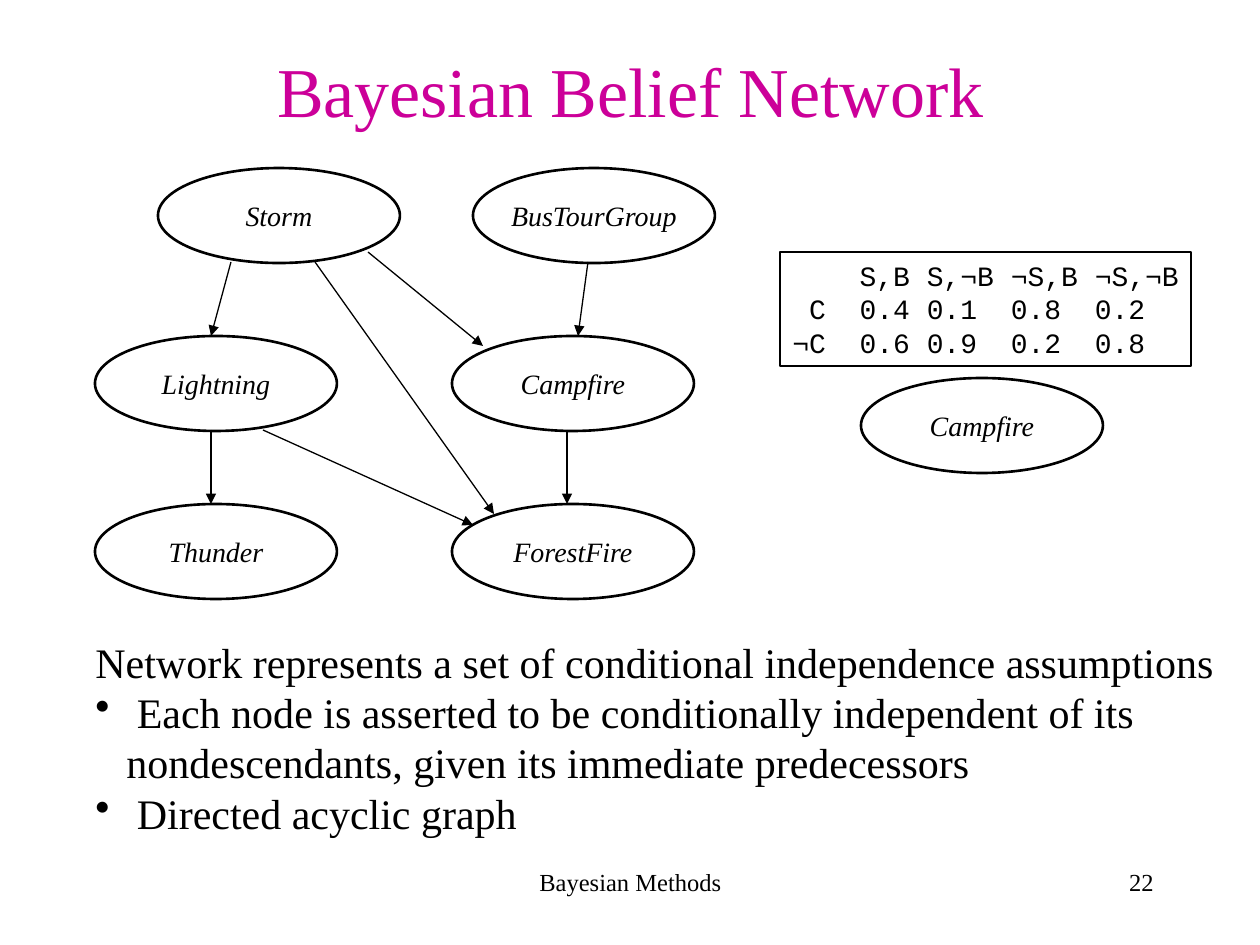
import pptx
import pptx.dml.color
import pptx.enum.shapes
import pptx.enum.text
import pptx.oxml.ns
import pptx.util
from dataclasses import dataclass
from lxml import etree

PIXEL = 914400 / 126
ALIGN = pptx.enum.text.PP_ALIGN
ANCHOR = pptx.enum.text.MSO_ANCHOR
SHAPES = pptx.enum.shapes.MSO_SHAPE


@dataclass(frozen=True)
class Theme:
    ink: str = "000000"
    accent: str = "CC0099"
    serif: str = "Times New Roman"
    mono: str = "Courier New"
    title_size: int = 40
    body_size: int = 24
    label_size: int = 16
    footer_size: int = 14
    outline: float = 1.5
    arrow: float = 0.75


THEME = Theme()


def px(length):
    return pptx.util.Emu(round(length * PIXEL))


def color(value):
    return pptx.dml.color.RGBColor.from_string(value)


def add_xml(parent, tag, **attributes):
    return etree.SubElement(parent, pptx.oxml.ns.qn(tag), attributes)


def set_attributes(target, values):
    for name, value in values.items():
        setattr(target, name, value)


def write(shape, lines, size, ink=THEME.ink, font=THEME.serif, italic=False,
          align=ALIGN.LEFT, frame_format=None):
    frame = shape.text_frame
    set_attributes(frame, {"word_wrap": True, "vertical_anchor": ANCHOR.TOP,
                           **(frame_format or {})})
    frame.text = "\n".join(lines)
    for paragraph in frame.paragraphs:
        paragraph.alignment = align
        set_attributes(paragraph.font, {"size": pptx.util.Pt(size), "name": font,
                                        "italic": italic})
        paragraph.font.color.rgb = color(ink)
    return frame.paragraphs


def add_text(slide, box, lines, size, **text_format):
    shape = slide.shapes.add_textbox(*map(px, box))
    return write(shape, lines, size, **text_format)


def add_outlined(slide, kind, box):
    shape = slide.shapes.add_shape(kind, *map(px, box))
    shape.shadow.inherit = False
    shape.fill.background()
    shape.line.color.rgb = color(THEME.ink)
    shape.line.width = pptx.util.Pt(THEME.outline)
    return shape


def add_node(slide, left, top, name):
    ellipse = add_outlined(slide, SHAPES.OVAL, (left, top, 242, 95))
    write(ellipse, [name], THEME.label_size, italic=True, align=ALIGN.CENTER,
          frame_format={"word_wrap": False, "vertical_anchor": ANCHOR.MIDDLE})


def add_arrow(slide, start, end):
    arrow = slide.shapes.add_connector(
        pptx.enum.shapes.MSO_CONNECTOR.STRAIGHT, *map(px, (*start, *end)))
    arrow.line.color.rgb = color(THEME.ink)
    arrow.line.width = pptx.util.Pt(THEME.arrow)
    add_xml(arrow.line._get_or_add_ln(), "a:tailEnd", type="triangle")
    add_xml(arrow._element.spPr, "a:effectLst")


def add_network(slide, left, top):
    row = 168
    nodes = [("Storm", 63, 0), ("BusTourGroup", 378, 0),
             ("Lightning", 0, row), ("Campfire", 357, row),
             ("Thunder", 0, 2 * row), ("ForestFire", 357, 2 * row)]
    for name, x, y in nodes:
        add_node(slide, left + x, top + y, name)

    edges = [((136, 94), (116, 168)),   # Storm to Lightning
             ((220, 94), (399, 346)),   # Storm to ForestFire
             ((273, 84), (388, 178)),   # Storm to Campfire
             ((493, 94), (483, 168)),   # BusTourGroup to Campfire
             ((116, 262), (116, 336)),  # Lightning to Thunder
             ((168, 262), (378, 357)),  # Lightning to ForestFire
             ((472, 262), (472, 336))]  # Campfire to ForestFire
    for start, end in edges:
        add_arrow(slide, *[(left + x, top + y) for x, y in (start, end)])


def add_probabilities(slide, left, top):
    # Conditional probabilities, aligned by tab stops counted in characters
    frame = add_outlined(slide, SHAPES.RECTANGLE, (left, top, 411, 114))
    rows = ["\tS,B\tS,¬B\t¬S,B\t¬S,¬B",
            " C\t0.4\t0.1\t0.8\t0.2",
            "¬C\t0.6\t0.9\t0.2\t0.8"]
    character = 0.6 * THEME.label_size
    for paragraph in write(frame, rows, THEME.label_size, font=THEME.mono,
                           frame_format={"word_wrap": False}):
        tabs = add_xml(paragraph._p.get_or_add_pPr(), "a:tabLst")
        for column in (4, 8, 13, 18):
            position = pptx.util.Pt(column * character)
            add_xml(tabs, "a:tab", pos=str(int(position)), algn="l")
    # The node that the probabilities belong to
    add_node(slide, left + 81, top + 126, "Campfire")


def add_notes_text(slide, box):
    lines = ["Network represents a set of conditional independence assumptions",
             " Each node is asserted to be conditionally independent of its "
             "nondescendants, given its immediate predecessors",
             " Directed acyclic graph"]
    paragraphs = add_text(slide, box, lines, THEME.body_size,
                          frame_format={"margin_right": 0})
    indent = px(31)
    for paragraph in paragraphs[1:]:
        properties = paragraph._p.get_or_add_pPr()
        properties.set("marL", str(indent))
        properties.set("indent", str(-indent))
        add_xml(properties, "a:buChar", char="•")


def add_footer(slide, top):
    for left, width, text, align in ((431, 399, "Bayesian Methods", ALIGN.CENTER),
                                     (903, 263, "22", ALIGN.RIGHT)):
        add_text(slide, (left, top, width, 63), [text], THEME.footer_size, align=align)


def main():
    presentation = pptx.Presentation()
    set_attributes(presentation, {"slide_width": px(1260), "slide_height": px(945)})
    slide = presentation.slides.add_slide(presentation.slide_layouts[6])

    # Title
    add_text(slide, (95, 42, 1071, 95), ["Bayesian Belief Network"], THEME.title_size,
             ink=THEME.accent, align=ALIGN.CENTER,
             frame_format={"vertical_anchor": ANCHOR.MIDDLE})
    # Diagram and probabilities
    add_network(slide, 95, 168)
    add_probabilities(slide, 780, 252)
    # Explanation and footer
    add_notes_text(slide, (83, 630, 1143, 214))
    add_footer(slide, 861)
    presentation.save("out.pptx")


if __name__ == "__main__":
    main()
